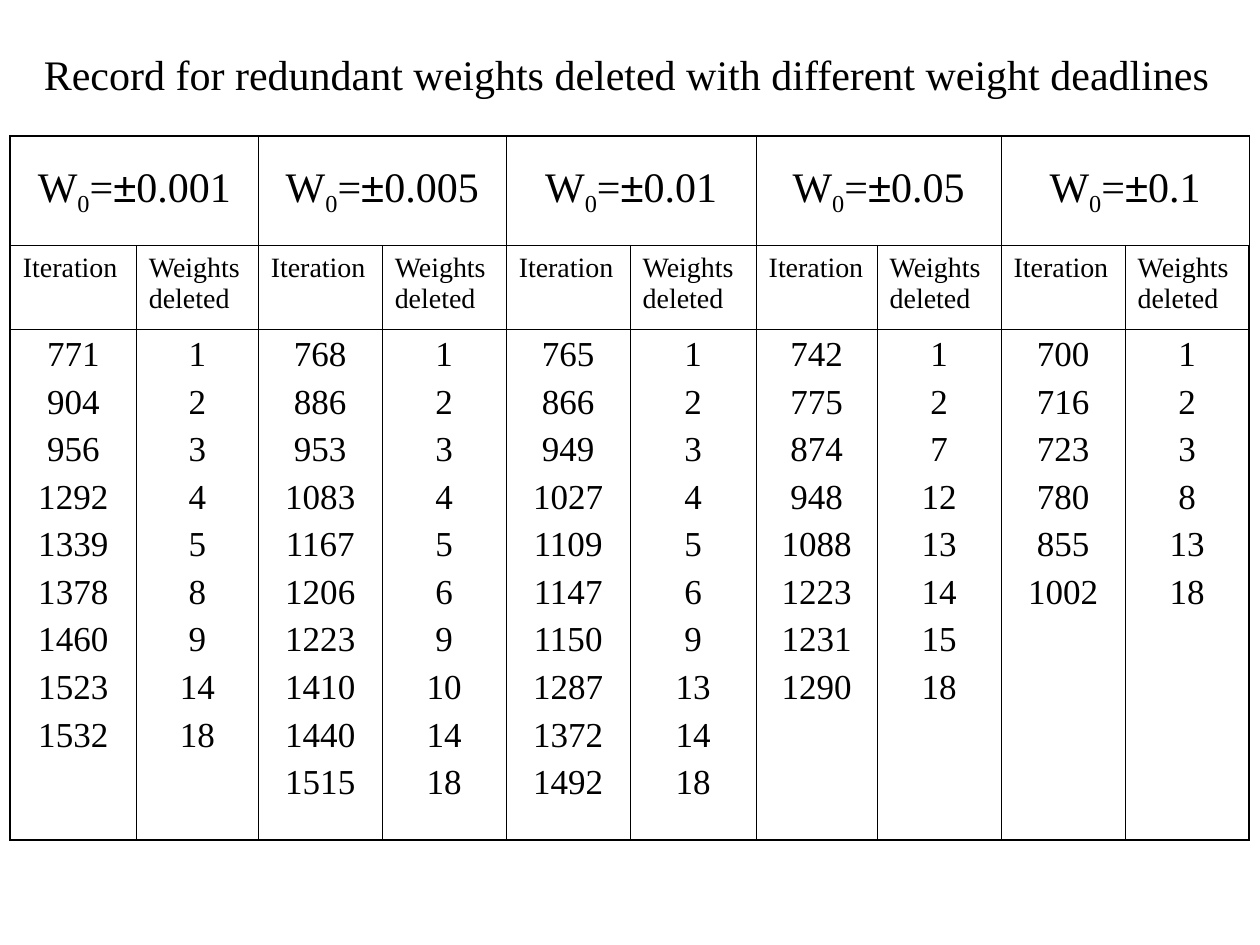
from lxml import etree
from pptx import Presentation
from pptx.dml.color import RGBColor
from pptx.enum.text import MSO_ANCHOR, PP_ALIGN
from pptx.oxml.ns import qn
from pptx.util import Pt

LEFT, CENTER = PP_ALIGN.LEFT, PP_ALIGN.CENTER
TOP, MIDDLE = MSO_ANCHOR.TOP, MSO_ANCHOR.MIDDLE
SERIF, SANS = "Times New Roman", "Arial"
BLACK = "000000"
THIN, THICK = 0.45, 1.08

WIDTHS = [72, 69.7, 70.85, 70.85, 70.85, 72, 69.15, 70.85, 70.85, 70.85]
HEIGHTS = [62.7, 47.5, 292.1]

# Deadline, iterations, weights deleted
RECORDS = [
    ("0.001", [771, 904, 956, 1292, 1339, 1378, 1460, 1523, 1532],
     [1, 2, 3, 4, 5, 8, 9, 14, 18]),
    ("0.005", [768, 886, 953, 1083, 1167, 1206, 1223, 1410, 1440, 1515],
     [1, 2, 3, 4, 5, 6, 9, 10, 14, 18]),
    ("0.01", [765, 866, 949, 1027, 1109, 1147, 1150, 1287, 1372, 1492],
     [1, 2, 3, 4, 5, 6, 9, 13, 14, 18]),
    ("0.05", [742, 775, 874, 948, 1088, 1223, 1231, 1290],
     [1, 2, 7, 12, 13, 14, 15, 18]),
    ("0.1", [700, 716, 723, 780, 855, 1002], [1, 2, 3, 8, 13, 18]),
]


def color(code):
    return RGBColor.from_string(code)


def add_run(para, text, size, name=SERIF):
    run = para.add_run()
    run.text = text
    for key, value in {"size": Pt(size), "name": name}.items():
        setattr(run.font, key, value)
    run.font.color.rgb = color(BLACK)
    return run


def add_lines(frame, lines, size, align=LEFT, gap=0):
    for i, line in enumerate(lines):
        para = frame.add_paragraph() if i else frame.paragraphs[0]
        para.alignment = align
        para.space_before = Pt(gap if i else 0)
        add_run(para, str(line), size)


def add_label(cell, limit):
    """Write W with a subscript zero, then its plus-minus limit."""
    cell.vertical_anchor = MIDDLE
    para = cell.text_frame.paragraphs[0]
    para.alignment = CENTER
    add_run(para, "W", 24)
    sub = add_run(para, "0", 24)
    sub.font._element.set("baseline", "-25000")
    add_run(para, "=", 24)
    add_run(para, "±", 24, SANS)
    add_run(para, limit, 24)


def set_edges(cell, edges):
    props = cell._tc.get_or_add_tcPr()
    for i, (side, width) in enumerate(edges.items()):
        line = etree.Element(qn("a:ln" + side), w=str(Pt(width)))
        fill = etree.SubElement(line, qn("a:solidFill"))
        etree.SubElement(fill, qn("a:srgbClr"), val=BLACK)
        props.insert(i, line)


def add_grid(slide):
    rows, cols = len(HEIGHTS), len(WIDTHS)
    frame = slide.shapes.add_table(rows, cols, Pt(5.9), Pt(77.8),
                                   Pt(sum(WIDTHS)), Pt(sum(HEIGHTS)))
    table = frame.table
    for flag in ("first_row", "horz_banding"):
        setattr(table, flag, False)
    for col, width in zip(table.columns, WIDTHS):
        col.width = Pt(width)
    for row, height in zip(table.rows, HEIGHTS):
        row.height = Pt(height)

    # Clear fills, thin inner lines, thick outer frame
    for r in range(rows):
        for c in range(cols):
            cell = table.cell(r, c)
            cell.fill.background()
            cell.vertical_anchor = TOP
            set_edges(cell, {
                "L": THIN if c else THICK,
                "R": THICK if c == cols - 1 else THIN,
                "T": THIN if r else THICK,
                "B": THICK if r == rows - 1 else THIN,
            })
    return table


def fill_grid(table):
    for i, (limit, steps, counts) in enumerate(RECORDS):
        left = 2 * i
        head = table.cell(0, left)
        head.merge(table.cell(0, left + 1))
        add_label(head, limit)
        pairs = (("Iteration", steps), ("Weights deleted", counts))
        for c, (title, values) in enumerate(pairs, left):
            add_lines(table.cell(1, c).text_frame, [title], 16)
            add_lines(table.cell(2, c).text_frame, values, 20, CENTER, 5)


def add_title(slide, text):
    box = slide.shapes.add_textbox(Pt(18), Pt(24), Pt(684), Pt(36))
    box.text_frame.word_wrap = True
    add_lines(box.text_frame, [text], 24)


def main():
    deck = Presentation()
    deck.slide_width, deck.slide_height = Pt(720), Pt(540)
    slide = deck.slides.add_slide(deck.slide_layouts[6])
    fill_grid(add_grid(slide))
    add_title(slide, "Record for redundant weights deleted "
                     "with different weight deadlines")
    deck.save("out.pptx")


if __name__ == "__main__":
    main()
